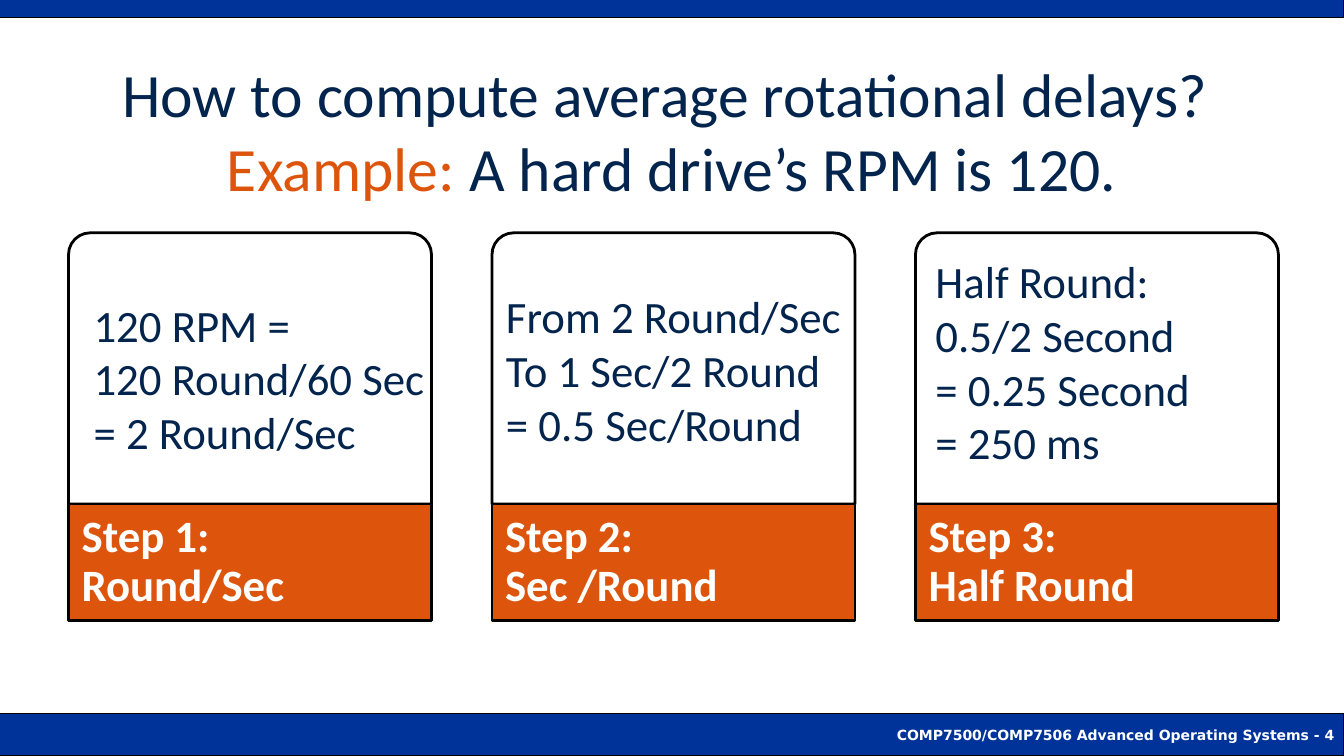
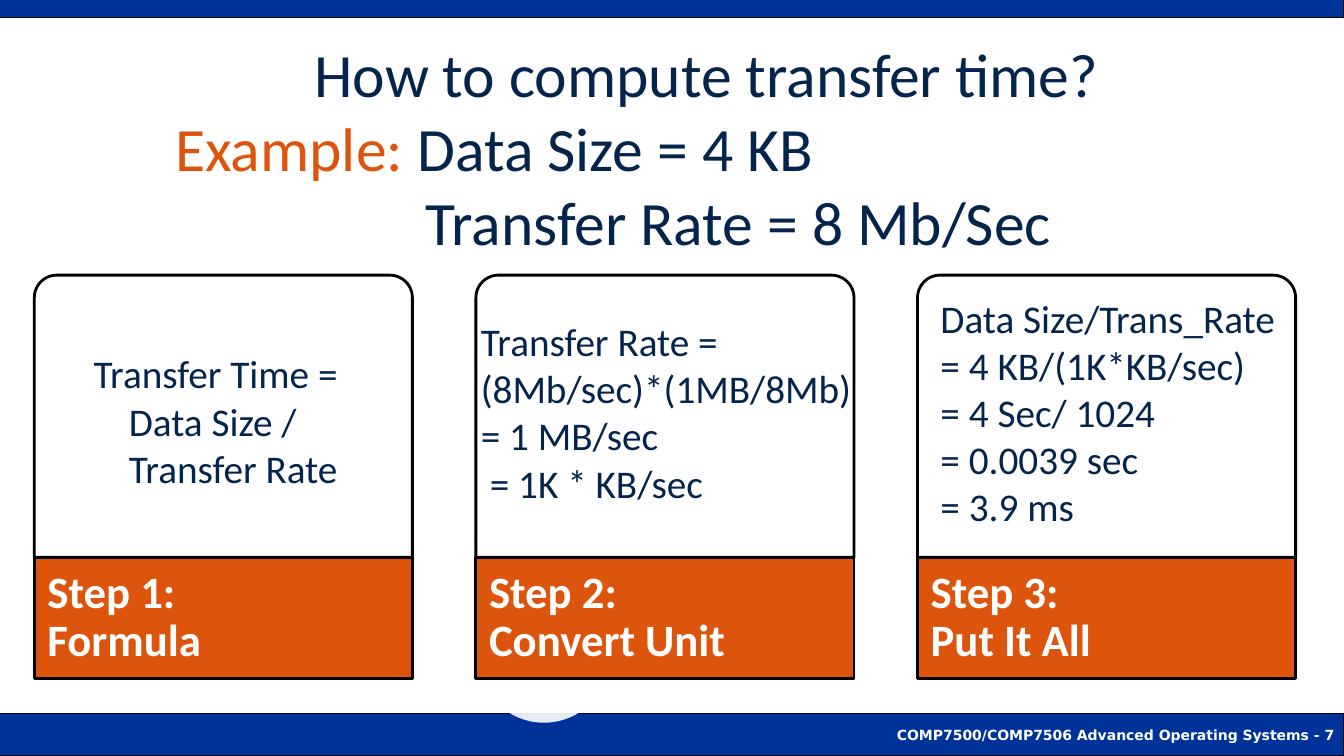
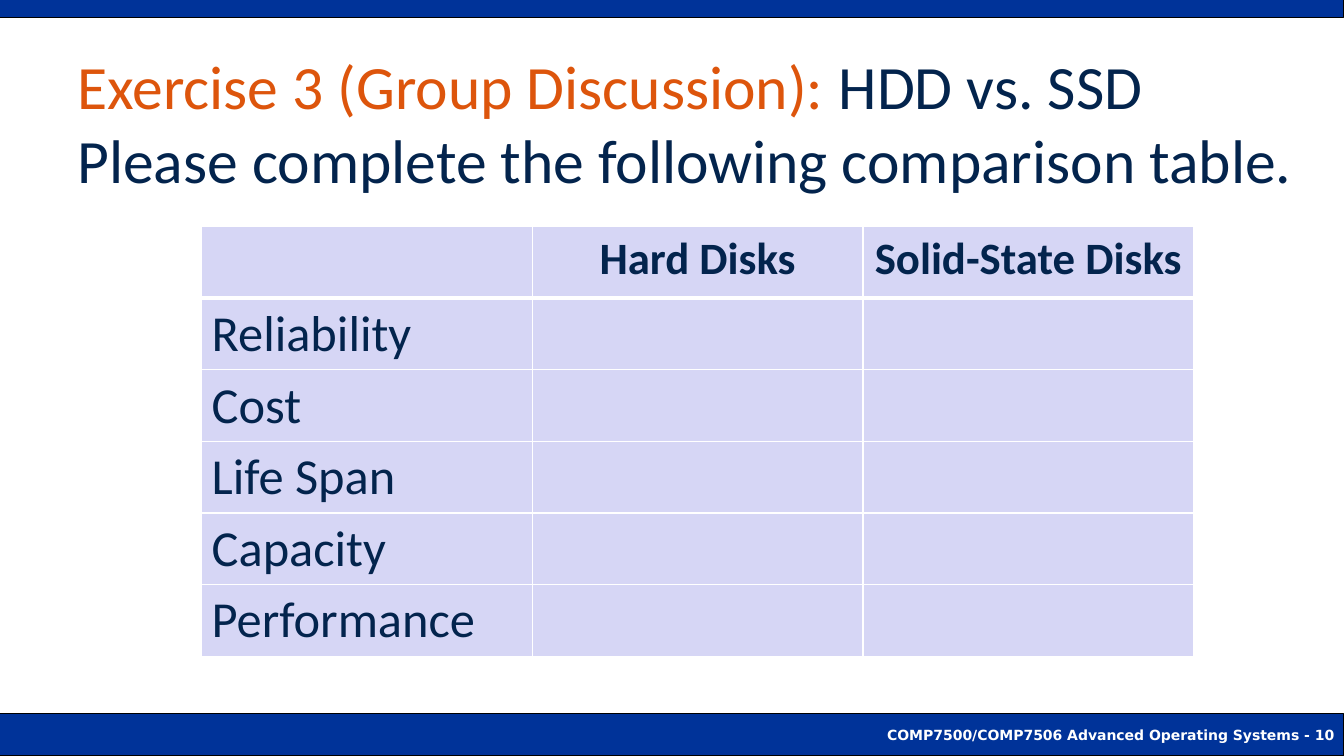
from pptx import Presentation
from pptx.dml.color import RGBColor
from pptx.enum.shapes import MSO_SHAPE
from pptx.enum.text import MSO_ANCHOR, PP_ALIGN
from pptx.oxml import parse_xml
from pptx.oxml.ns import nsdecls, qn
from pptx.util import Inches, Pt

NAVY, ORANGE, BLUE = "03244D", "DD550C", "003399"
WHITE, BLACK, LAVENDER = "FFFFFF", "000000", "D6D6F5"
BODY_FONT, FOOTER_FONT = "Calibri", "DejaVu Sans"
COURSE = "COMP7500/COMP7506 Advanced Operating Systems"


def color(value):
    return RGBColor.from_string(value)


class Deck:
    """Holds the shared style and the slide being built."""

    def __init__(self):
        self.presentation = Presentation()
        self.presentation.slide_width = Inches(13.33)
        self.presentation.slide_height = Inches(7.5)
        self.slide = None

    def new_slide(self, number):
        self.slide = self.presentation.slides.add_slide(self.presentation.slide_layouts[6])
        footer = self.shape(MSO_SHAPE.RECTANGLE, (0, 7.08, 13.33, 0.42), BLUE, 0.75)
        self.set_lines(footer.text_frame, [f"{COURSE} - {number}"], 10, WHITE,
                       bold=True, font=FOOTER_FONT, align=PP_ALIGN.RIGHT)
        self.shape(MSO_SHAPE.RECTANGLE, (0, 0, 13.33, 0.17), BLUE, 0.75)

    def shape(self, kind, box, fill, line_width=None):
        shape = self.slide.shapes.add_shape(kind, *map(Inches, box))
        shape.shadow.inherit = False
        shape.fill.solid()
        shape.fill.fore_color.rgb = color(fill)
        if line_width:
            shape.line.color.rgb = color(BLACK)
            shape.line.width = Pt(line_width)
        else:
            shape.line.fill.background()
        return shape

    def style_run(self, run, size, text_color, bold, font):
        run.font.size = Pt(size)
        run.font.name = font
        run.font.bold = bold
        run.font.color.rgb = color(text_color)

    def set_lines(self, frame, lines, size, text_color=NAVY, bold=False, font=BODY_FONT,
                  align=PP_ALIGN.LEFT, highlight="", indents=(), spacing=None):
        """One paragraph per line; a leading highlight turns orange."""
        frame.word_wrap = True
        frame.vertical_anchor = MSO_ANCHOR.MIDDLE
        frame.text = "\n".join(lines)
        for paragraph, line in zip(frame.paragraphs, lines):
            paragraph.alignment = align
            if spacing:
                paragraph.line_spacing = spacing
            if highlight and line.startswith(highlight):
                paragraph.runs[0].text = highlight
                paragraph.add_run().text = line[len(highlight):]
            for run in paragraph.runs:
                run_color = ORANGE if highlight and run.text == highlight else text_color
                self.style_run(run, size, run_color, bold, font)
        for paragraph, indent in zip(frame.paragraphs, indents):
            if indent:
                properties = paragraph._p.get_or_add_pPr()
                properties.set("marL", str(Inches(indent)))
                properties.set("indent", "0")

    def text(self, box, lines, size, **style):
        text_box = self.slide.shapes.add_textbox(*map(Inches, box))
        self.set_lines(text_box.text_frame, lines, size, **style)

    def title(self, box, lines, highlight, **style):
        self.text(box, lines, 44, highlight=highlight, **style)

    def step_cards(self, left, top, pitch, width, body_height, label_height, names):
        for index, name in enumerate(names):
            x, label_top = left + index * pitch, top + body_height
            body = self.shape(MSO_SHAPE.ROUND_2_SAME_RECTANGLE,
                              (x, top, width, body_height), WHITE, 2)
            body.adjustments[0] = 0.08
            body.adjustments[1] = 0
            label = self.shape(MSO_SHAPE.RECTANGLE, (x, label_top, width, label_height), ORANGE, 2)
            frame = label.text_frame
            frame.margin_left, frame.margin_right = Inches(0.13), Inches(0.04)
            frame.margin_top = frame.margin_bottom = 0
            self.set_lines(frame, [f"Step {index + 1}:", name], 32, WHITE,
                           bold=True, spacing=0.9)

    def faint_circle(self, left, top, diameter):
        circle = self.shape(MSO_SHAPE.FLOWCHART_CONNECTOR, (left, top, diameter, diameter), WHITE)
        fill = circle._element.spPr.find(qn("a:solidFill"))
        fill[0].append(parse_xml(f'<a:alpha {nsdecls("a")} val="90000"/>'))

    def border(self, cell, side, width):
        cell._tc.get_or_add_tcPr().append(parse_xml(
            f'<a:{side} {nsdecls("a")} w="{Pt(width)}"><a:solidFill>'
            f'<a:srgbClr val="{WHITE}"/></a:solidFill></a:{side}>'))

    def table(self, left, top, column_width, row_height, headings, topics):
        rows, columns = len(topics) + 1, len(headings)
        frame = self.slide.shapes.add_table(
            rows, columns, Inches(left), Inches(top),
            Inches(columns * column_width), Inches(rows * row_height))
        table = frame.table
        table.horz_banding = table.first_row = False
        for index in range(rows * columns):
            row, column = divmod(index, columns)
            cell = table.cell(row, column)
            for side in ("lnL", "lnR", "lnT", "lnB"):
                heavy = (row, side) in ((0, "lnB"), (1, "lnT"))
                self.border(cell, side, 3 if heavy else 1)
            cell.fill.solid()
            cell.fill.fore_color.rgb = color(LAVENDER)
            words = headings[column] if row == 0 else topics[row - 1] if column == 0 else ""
            if words:
                self.set_lines(cell.text_frame, [words], 36 if row else 32, bold=row == 0,
                               align=PP_ALIGN.LEFT if row else PP_ALIGN.CENTER)
                cell.vertical_anchor = MSO_ANCHOR.TOP


def main():
    deck = Deck()

    # Rotational delay
    deck.new_slide(4)
    deck.title((0.33, 0.58, 12.67, 1.42),
               ["How to compute average rotational delays? ",
                "Example: A hard drive’s RPM is 120."],
               "Example:", align=PP_ALIGN.CENTER)
    deck.step_cards(0.68, 2.31, 4.2, 3.6, 2.69, 1.16,
                    ["Round/Sec", "Sec /Round", "Half Round"])
    deck.text((0.83, 3.04, 3.5, 1.42),
              ["120 RPM =", "120 Round/60 Sec", "= 2 Round/Sec"], 32)
    deck.text((4.92, 2.58, 3.67, 2.17),
              ["From 2 Round/Sec", "To 1 Sec/2 Round", "= 0.5 Sec/Round"], 32)
    deck.text((9.18, 2.5, 3.67, 2.17),
              ["Half Round:", "0.5/2 Second", "= 0.25 Second", "= 250 ms"], 32)

    # Transfer time
    deck.new_slide(7)
    deck.title((0.67, 0.33, 12.33, 2.25),
               ["How to compute transfer time?", "Example: Data Size = 4 KB",
                "Transfer Rate = 8 Mb/Sec"],
               "Example:", indents=(2.35, 0.97, 3.45))
    deck.faint_circle(4.74, 5.86, 1.31)
    deck.step_cards(0.34, 2.73, 4.38, 3.75, 2.8, 1.2,
                    ["Formula", "Convert Unit", "Put It All"])
    deck.text((0.83, 3.46, 3.5, 1.42),
              ["Transfer Time =", "Data Size /", "Transfer Rate"], 28, indents=(0, 0.35, 0.35))
    deck.text((4.67, 3, 3.92, 2.17),
              ["Transfer Rate =", "(8Mb/sec)*(1MB/8Mb)", "= 1 MB/sec", "= 1K * KB/sec"], 28,
              indents=(0, 0, 0, 0.09))
    deck.text((9.23, 3, 3.67, 2.17),
              ["Data Size/Trans_Rate", "= 4 KB/(1K*KB/sec)", "= 4 Sec/ 1024",
               "= 0.0039 sec", "= 3.9 ms"], 28)

    # Comparison exercise
    deck.new_slide(10)
    deck.title((0.67, 0.42, 12.33, 1.58),
               ["Exercise 3 (Group Discussion): HDD vs. SSD",
                "Please complete the following comparison table."],
               "Exercise 3 (Group Discussion):")
    deck.table(2, 2.25, 3.28, 0.71, ["", "Hard Disks", "Solid-State Disks"],
               ["Reliability", "Cost", "Life Span", "Capacity", "Performance"])

    deck.presentation.save("out.pptx")


if __name__ == "__main__":
    main()
